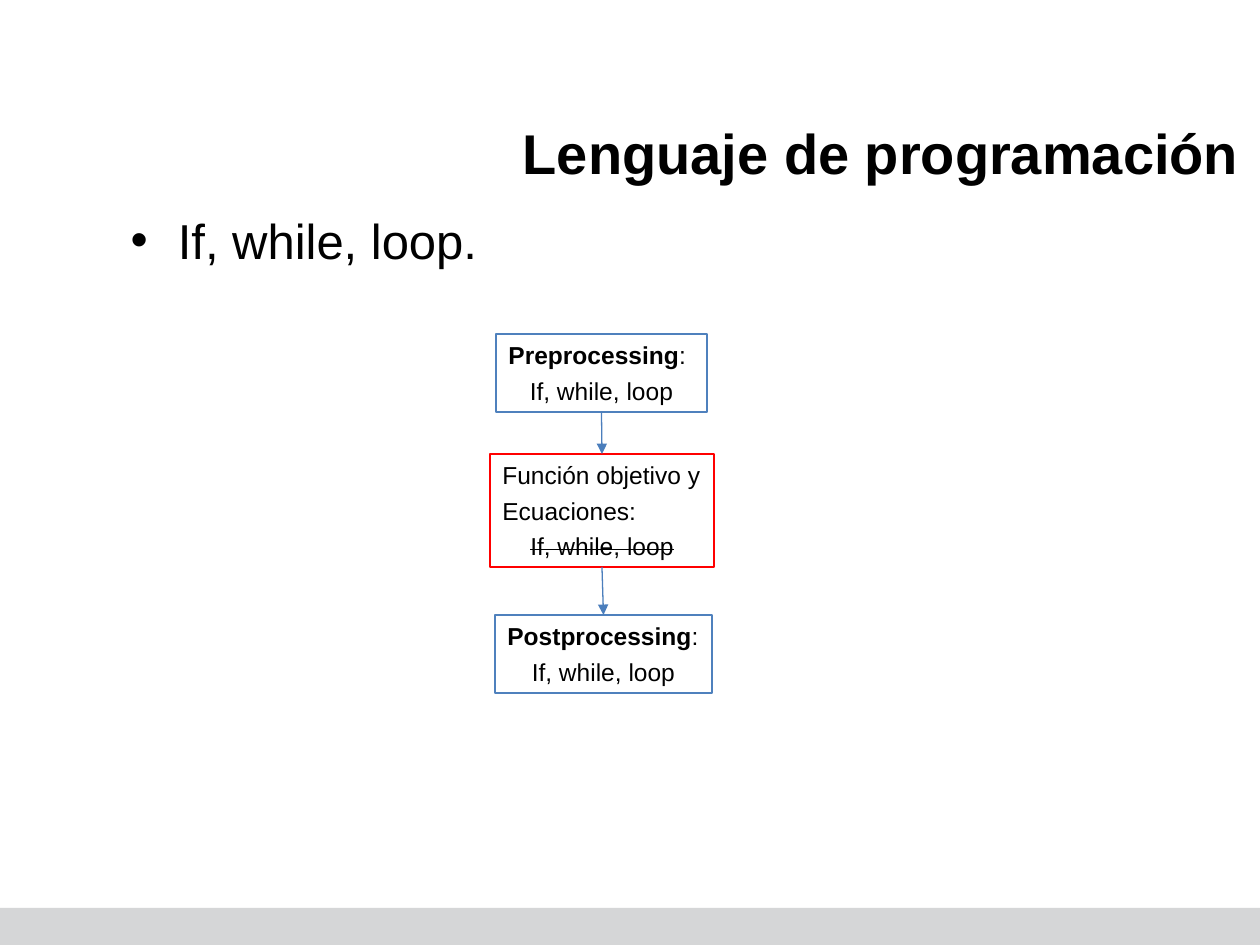
from pptx import Presentation
from pptx.dml.color import RGBColor
from pptx.enum.shapes import MSO_CONNECTOR as Link, MSO_SHAPE as Shape
from pptx.enum.text import MSO_ANCHOR as Anchor, MSO_AUTO_SIZE as Fit, PP_ALIGN as Align
from pptx.oxml.ns import qn
from pptx.util import Emu, Pt
from lxml.etree import SubElement

BLACK = RGBColor(0x00, 0x00, 0x00)
GREY = RGBColor(0xD5, 0xD6, 0xD7)
RED = RGBColor(0xFF, 0x00, 0x00)
BLUE = RGBColor(0x4F, 0x81, 0xBD)
ARROW_BLUE = RGBColor(0x4B, 0x7E, 0xBC)
BOTTOM, TOP = 2, 0


class SlideBuilder:
    """Draw styled elements on the current slide, measured in px."""

    scale = 914400 / 126
    font = "Arial"
    line_width = Pt(0.75)

    def __init__(self, deck):
        deck.slide_width, deck.slide_height = self.emu(1260), self.emu(945)
        self.page = deck.slides.add_slide(deck.slide_layouts[1])

    def emu(self, px):
        return Emu(round(px * self.scale))

    def apply(self, target, values):
        for name, value in values.items():
            setattr(target, name, value)

    def span(self, para, text, size, bold=False, strike=False):
        span = para.add_run()
        span.text = text
        self.apply(span.font, {"name": self.font, "size": Pt(size), "bold": bold})
        span.font.color.rgb = BLACK
        if strike:
            span._r.get_or_add_rPr().set("strike", "sngStrike")

    def placeholder(self, index, bounds, text, size, anchor, align, bold=False):
        box = self.page.placeholders[index]
        names = ("left", "top", "width", "height")
        self.apply(box, dict(zip(names, map(self.emu, bounds))))
        frame = box.text_frame
        self.apply(frame, {"auto_size": Fit.NONE, "vertical_anchor": anchor})
        para = frame.paragraphs[0]
        para.alignment = align
        self.span(para, text, size, bold)

    def rectangle(self, bounds):
        box = self.page.shapes.add_shape(Shape.RECTANGLE, *map(self.emu, bounds))
        box.shadow.inherit = False
        return box

    def band(self, bounds, color):
        box = self.rectangle(bounds)
        box.fill.solid()
        box.fill.fore_color.rgb = color
        box.line.fill.background()

    def step(self, bounds, color, lines):
        box = self.rectangle(bounds)
        box.fill.background()
        box.line.color.rgb = color
        box.line.width = self.line_width
        frame = box.text_frame
        self.apply(frame, {"word_wrap": False, "auto_size": Fit.NONE,
                           "vertical_anchor": Anchor.TOP})
        for number, (align, spans) in enumerate(lines):
            para = frame.add_paragraph() if number else frame.paragraphs[0]
            self.apply(para, {"alignment": align, "space_before": Pt(3.5)})
            for text, style in spans:
                self.span(para, text, 14, **style)
        return box

    def arrow(self, start, end):
        link = self.page.shapes.add_connector(Link.STRAIGHT, 0, 0, 0, 0)
        link.begin_connect(start, BOTTOM)
        link.end_connect(end, TOP)
        link.line.color.rgb = ARROW_BLUE
        link.line.width = self.line_width
        SubElement(link.line._get_or_add_ln(), qn("a:tailEnd"), type="triangle")
        SubElement(link._element.spPr, qn("a:effectLst"))


def processing_lines(name):
    return [(Align.LEFT, [(name, {"bold": True}), (":", {})]),
            (Align.CENTER, [("If, while, loop", {})])]


def main():
    deck = Presentation()
    slide = SlideBuilder(deck)
    slide.band((0, 908, 1260, 37), GREY)
    slide.placeholder(1, (118, 204, 1134, 719), "If, while, loop.", 28,
                      Anchor.TOP, Align.LEFT)
    slide.placeholder(0, (118, 105, 1134, 95), "Lenguaje de programación", 32,
                      Anchor.MIDDLE, Align.RIGHT, bold=True)
    equation_lines = [(Align.LEFT, [("Función objetivo y", {})]),
                      (Align.LEFT, [("Ecuaciones:", {})]),
                      (Align.CENTER, [("If, while, loop", {"strike": True})])]
    steps = [
        slide.step((496, 334, 211, 78), BLUE, processing_lines("Preprocessing")),
        slide.step((490, 454, 224, 113), RED, equation_lines),
        slide.step((495, 615, 217, 78), BLUE, processing_lines("Postprocessing")),
    ]
    for start, end in zip(steps, steps[1:]):
        slide.arrow(start, end)
    deck.save("out.pptx")


if __name__ == "__main__":
    main()
